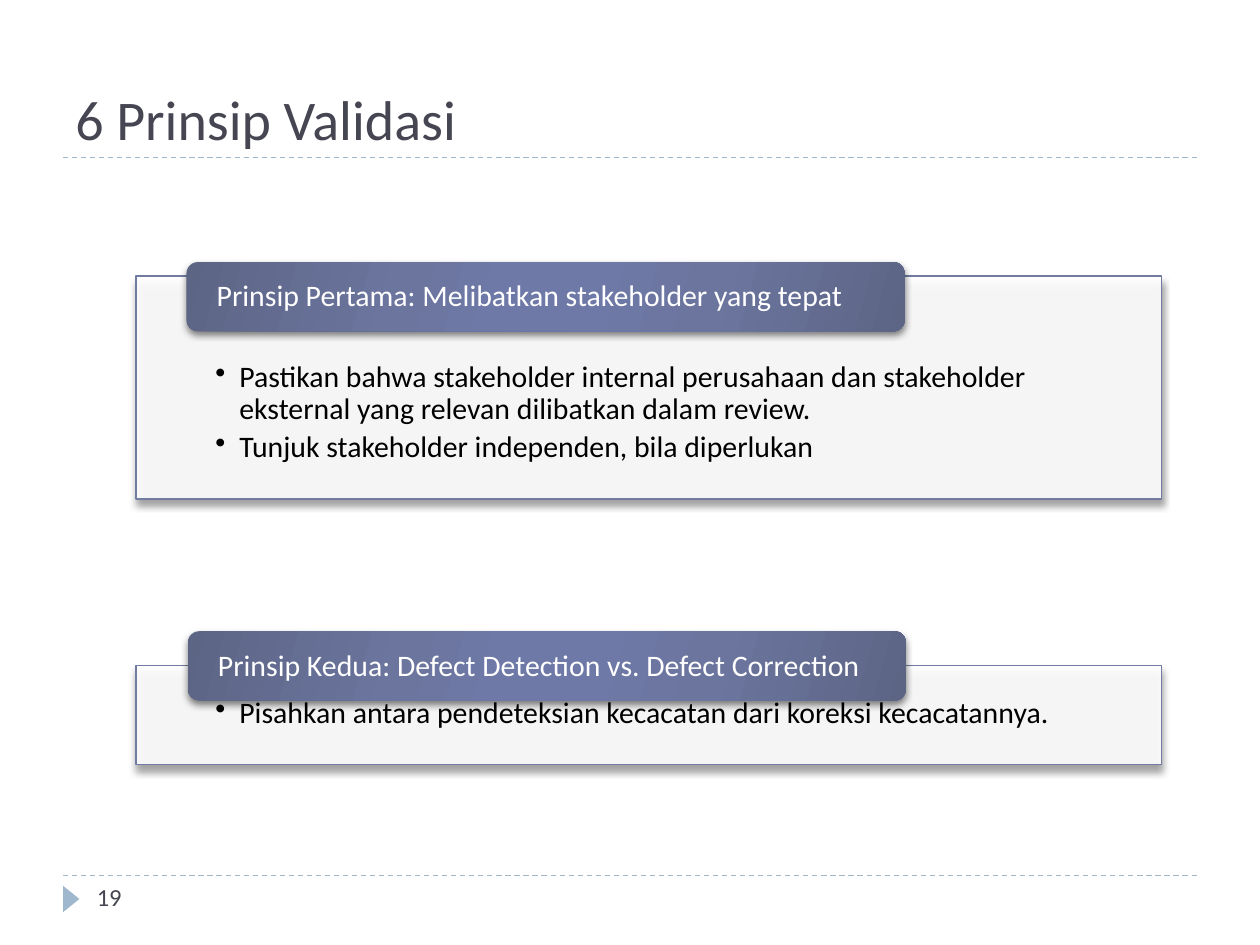
import pptx
import pptx.dml.color
import pptx.enum.dml
import pptx.enum.shapes
import pptx.enum.text
import pptx.oxml
import pptx.oxml.ns
import pptx.util
from lxml import etree
from pptx.util import Inches

SHAPE = pptx.enum.shapes.MSO_SHAPE
ANCHOR = pptx.enum.text.MSO_ANCHOR
qn = pptx.oxml.ns.qn

INK, PALE_BLUE, BORDER = "464653", "9FB8CD", "727CA3"
LABEL_STOPS = [(0, "5D6585"), (30, "6B759E"), (45, "6E79A7"),
               (55, "6E79A7"), (73, "6B759E"), (100, "5D6585")]


def color(value):
    return pptx.dml.color.RGBColor.from_string(value)


def add_xml(parent, tag, **attributes):
    return etree.SubElement(parent, qn(tag), attributes)


class SlideBuilder:
    font = "Calibri"

    def __init__(self, page):
        self.page = page

    def rule(self, y):
        line = self.page.shapes.add_connector(
            pptx.enum.shapes.MSO_CONNECTOR.STRAIGHT,
            Inches(0.5), Inches(y), Inches(9.5), Inches(y))
        line.line.color.rgb = color(PALE_BLUE)
        line.line.width = pptx.util.Pt(0.75)
        line.line.dash_style = pptx.enum.dml.MSO_LINE.DASH
        add_xml(line._element.spPr, "a:effectLst")

    def shape(self, kind, box, fill=None, border=None):
        shape = self.page.shapes.add_shape(kind, *map(Inches, box))
        shape.shadow.inherit = False
        if fill:
            shape.fill.solid()
            shape.fill.fore_color.rgb = color(fill)
        if border:
            shape.line.color.rgb = color(border)
            shape.line.width = pptx.util.Pt(0.75)
        else:
            shape.line.fill.background()
        return shape

    def shadow(self, shape, opacity, distance):
        effects = shape._element.spPr.find(qn("a:effectLst"))
        outer = add_xml(effects, "a:outerShdw", blurRad=str(pptx.util.Pt(4)),
                        dist=str(pptx.util.Pt(distance)), dir="5400000",
                        rotWithShape="0")
        tint = add_xml(outer, "a:srgbClr", val="000000")
        add_xml(tint, "a:alpha", val=str(opacity * 1000))

    def panel(self, box):
        shape = self.shape(SHAPE.RECTANGLE, box, "FFFFFF", BORDER)
        tint = shape._element.spPr.find(qn("a:solidFill"))[0]
        add_xml(tint, "a:alpha", val="90000")
        self.shadow(shape, 40, 3.4)

    def label(self, box):
        shape = self.shape(SHAPE.ROUNDED_RECTANGLE, box)
        shape.fill.gradient()
        shape.fill.gradient_angle = 344
        stops = shape._element.spPr.find(qn("a:gradFill")).find(qn("a:gsLst"))
        for stop in list(stops):
            stops.remove(stop)
        for position, value in LABEL_STOPS:
            stop = add_xml(stops, "a:gs", pos=str(position * 1000))
            add_xml(stop, "a:srgbClr", val=value)
        self.shadow(shape, 50, 2)

    def text(self, box, lines, size, ink, anchor=ANCHOR.TOP,
             insets=(0.1, 0.05, 0.1, 0.05), spacing=1, after=0, bullets=False):
        frame = self.page.shapes.add_textbox(*map(Inches, box)).text_frame
        frame.word_wrap = True
        frame.vertical_anchor = anchor
        (frame.margin_left, frame.margin_top,
         frame.margin_right, frame.margin_bottom) = map(Inches, insets)
        frame.text = "\n".join(lines)
        for paragraph in frame.paragraphs:
            paragraph.font.name = self.font
            paragraph.font.size = pptx.util.Pt(size)
            paragraph.font.color.rgb = color(ink)
            paragraph.line_spacing = spacing
            paragraph.space_after = pptx.util.Pt(after)
            if bullets:
                properties = paragraph._p.get_or_add_pPr()
                properties.set("marL", str(Inches(0.19)))
                properties.set("indent", str(-Inches(0.19)))
                bullet = etree.Element(qn("a:buChar"), char="•")
                properties.find(qn("a:defRPr")).addprevious(bullet)

    def principle(self, top, height, label_left, label_top, heading, points, text_top):
        panel = (1.08, top, 8.14, height)
        self.panel(panel)
        self.text(panel, points, 17, "000000", insets=(0.63, text_top, 0.63, 0.13),
                  spacing=0.9, after=3, bullets=True)
        self.label((label_left, label_top, 5.7, 0.55))
        self.text((label_left + 0.02, label_top + 0.03, 5.64, 0.5), [heading], 17,
                  "FFFFFF", ANCHOR.MIDDLE, (0.22, 0, 0.22, 0), 0.9)


def main():
    deck = pptx.Presentation()
    deck.slide_width, deck.slide_height = Inches(10), Inches(7.5)
    builder = SlideBuilder(deck.slides.add_slide(deck.slide_layouts[6]))

    # Rules, page marker, title and page number
    for y in (6.95, 1.25):
        builder.rule(y)
    marker = builder.shape(SHAPE.ISOSCELES_TRIANGLE, (0.46, 7.07, 0.21, 0.13), PALE_BLUE)
    marker.rotation = 90
    builder.text((0.5, 0.17, 9, 1.08), ["6 Prinsip Validasi"], 32, INK, ANCHOR.BOTTOM)
    builder.text((0.67, 6.95, 2.17, 0.4), ["19"], 14, INK)

    # Principles
    builder.principle(
        2.19, 1.77, 1.48, 2.08, "Prinsip Pertama: Melibatkan stakeholder yang tepat",
        ["Pastikan bahwa stakeholder internal perusahaan dan stakeholder "
         "eksternal yang relevan dilibatkan dalam review.",
         "Tunjuk stakeholder independen, bila diperlukan"], 0.69)
    builder.principle(
        5.28, 0.79, 1.49, 5.01, "Prinsip Kedua: Defect Detection vs. Defect Correction",
        ["Pisahkan antara pendeteksian kecacatan dari koreksi kecacatannya."], 0.39)

    deck.save("out.pptx")


if __name__ == "__main__":
    main()
